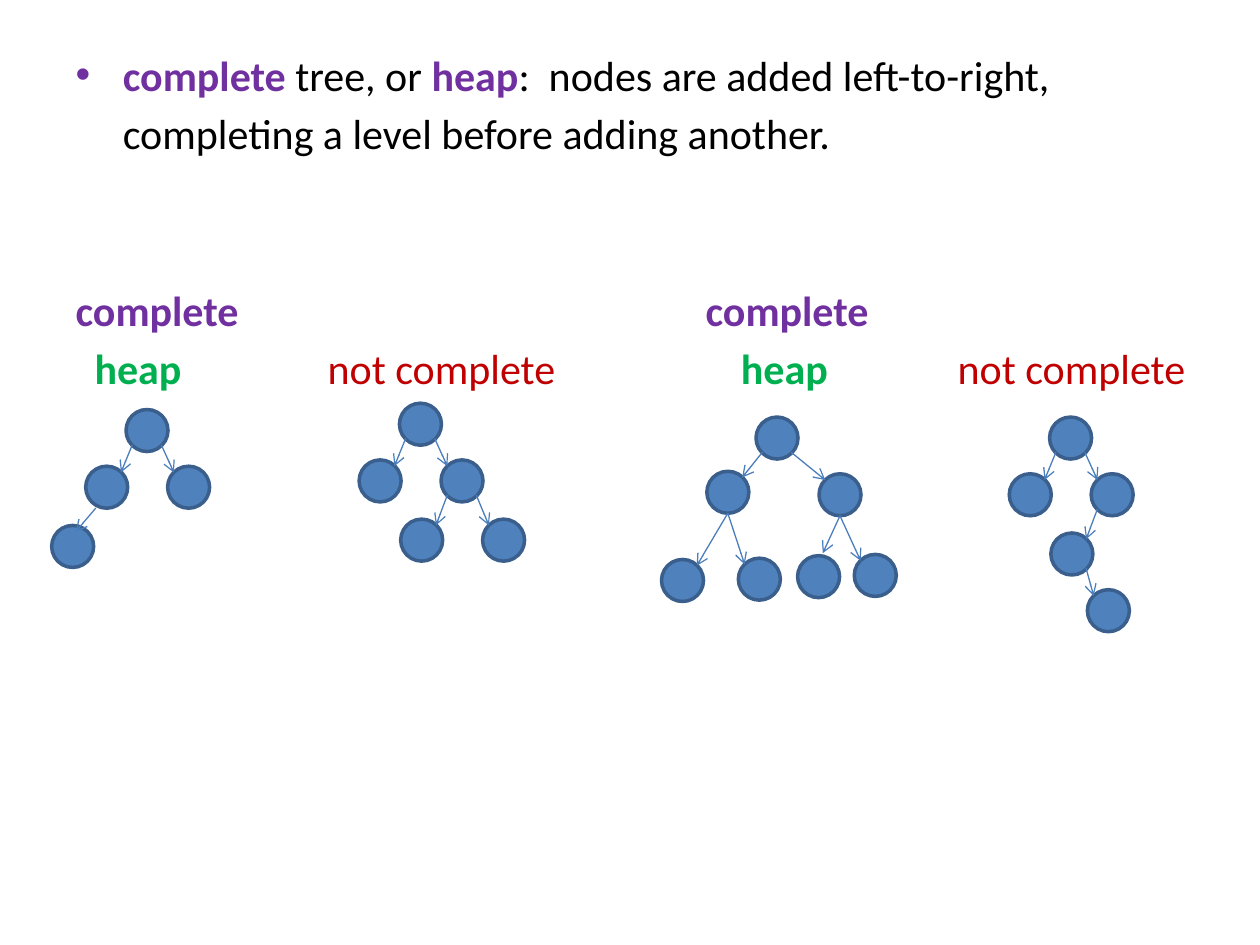
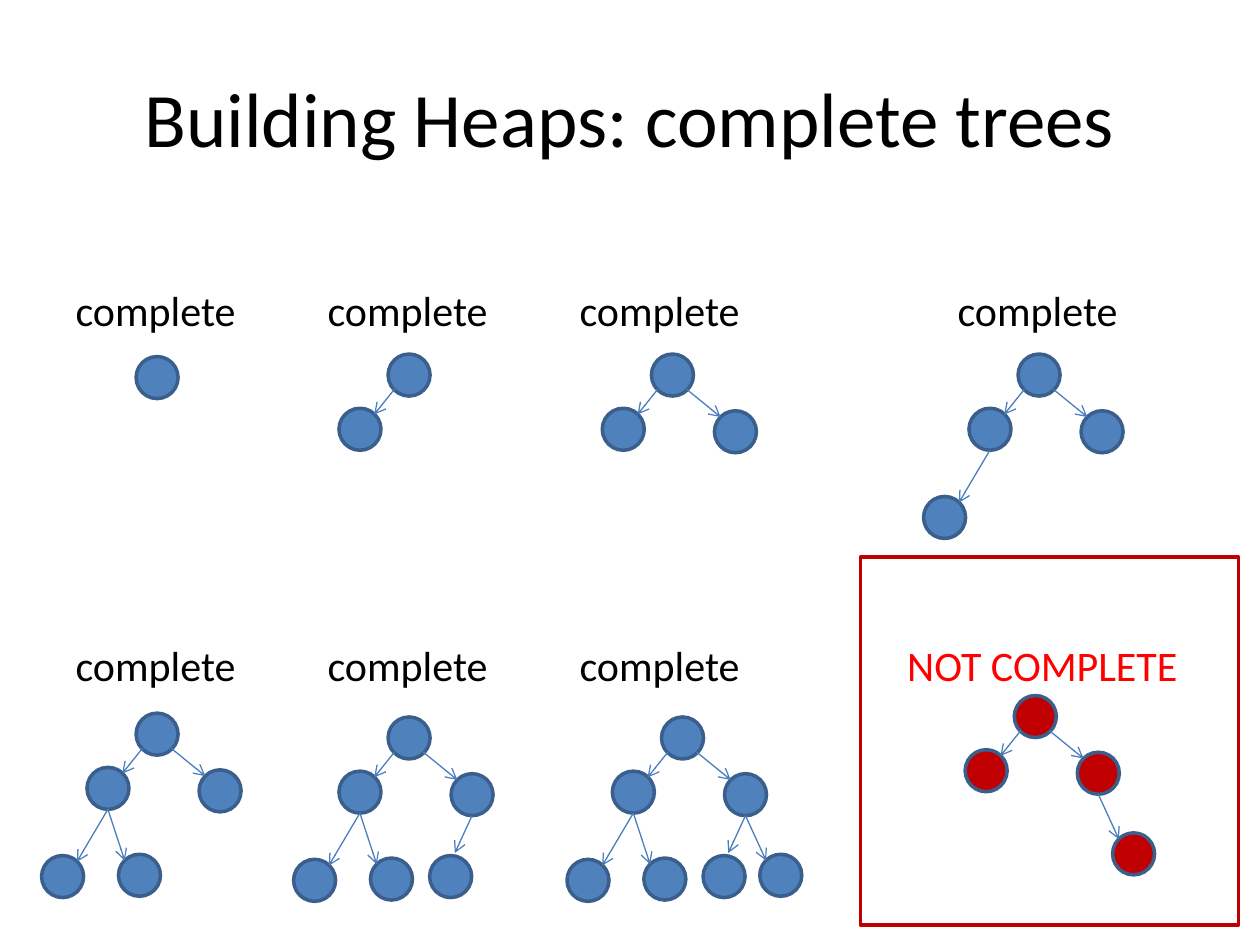
"""Build two slides that explain complete trees and heaps."""
from lxml.etree import SubElement
from pptx import Presentation
from pptx.dml.color import RGBColor
from pptx.enum.shapes import MSO_CONNECTOR, MSO_SHAPE
from pptx.enum.text import MSO_ANCHOR, MSO_AUTO_SIZE, PP_ALIGN
from pptx.oxml.ns import qn
from pptx.util import Inches, Pt

BLACK, PURPLE, GREEN = "000000", "7030A0", "00B050"
RED, BRIGHT_RED = "C00000", "FF0000"
NODE_BLUE, NODE_EDGE, ARROW_BLUE = "4F81BD", "3A5F8C", "4B7EBC"
FONT, BODY_SIZE, TITLE_SIZE = "Calibri", 24, 44
LINE_PITCH, LINE_HEIGHT = 33.85, 29.3
NODE = 1 / 3
INDENT = 0.375
SPACE_WIDTH = 0.075

NARROW = {"": (0, 0), "L": (-0.32, 0.45), "R": (0.33, 0.45), "LL": (-0.59, 0.92),
          "RL": (0.01, 0.92), "RR": (0.66, 0.92), "RLR": (0.3, 1.37)}
WIDE = {"": (0, 0), "L": (-0.39, 0.43), "R": (0.5, 0.45), "LL": (-0.75, 1.13),
        "LR": (-0.14, 1.12), "RL": (0.33, 1.1), "RR": (0.78, 1.09)}
THREE = ["", "L", "R"]
SEVEN = THREE + ["LL", "LR", "RL", "RR"]

DEFINITION = [
    (1, INDENT, True, [("complete", PURPLE, True, 0), (" tree, or ", BLACK, False, 0),
                       ("heap", PURPLE, True, 0),
                       (":  nodes are added left-to-right, ", BLACK, False, 0)]),
    (1, INDENT, False, [("completing a level before adding another.", BLACK, False, 0)]),
    (3, 0, False, [("complete" + "\t" * 8 + "complete", PURPLE, True, 0)]),
    (1, 0, False, [(" ", GREEN, False, 0.15), ("heap\t\t\t", GREEN, True, 0),
                   ("not complete\t\t\t", RED, False, 0), (" ", GREEN, False, 0.28),
                   ("heap\t\t\t", GREEN, True, 0), ("not complete", RED, False, 0)]),
]
THREE_COMPLETE = "\t\t".join(["complete"] * 3)
BUILDING = [
    (1, 0, False, [(THREE_COMPLETE + "\t" * 4 + "complete", BLACK, False, 0)]),
    (6, 0, False, [(THREE_COMPLETE + "\t" * 3, BLACK, False, 0), (" ", BLACK, False, 0.1),
                   ("NOT COMPLETE", BRIGHT_RED, False, 0)]),
]
DEFINITION_TREES = [
    (1, 3.25, NARROW, THREE + ["LL"], NODE_BLUE),
    (3.17, 3.2, NARROW, THREE + ["RL", "RR"], NODE_BLUE),
    (6, 3.31, WIDE, SEVEN, NODE_BLUE),
    (8.33, 3.31, NARROW, THREE + ["RL", "RLR"], NODE_BLUE),
]
BUILDING_TREES = [
    (1.08, 2.83, WIDE, THREE[:1], NODE_BLUE),
    (3.08, 2.81, WIDE, THREE[:2], NODE_BLUE),
    (5.17, 2.81, WIDE, THREE, NODE_BLUE),
    (8.08, 2.81, WIDE, SEVEN[:4], NODE_BLUE),
    (1.08, 5.66, WIDE, SEVEN[:5], NODE_BLUE),
    (3.08, 5.69, WIDE, SEVEN[:6], NODE_BLUE),
    (5.25, 5.69, WIDE, SEVEN, NODE_BLUE),
    (8.05, 5.52, WIDE, THREE + ["RR"], RED),
]
SLIDES = [
    (None, (0.5, 0.34, 9.5, 6.37), DEFINITION, DEFINITION_TREES, None),
    ("Building Heaps: complete trees", (0.5, 2.21, 9, 4.48), BUILDING, BUILDING_TREES,
     (6.83, 4.42, 3, 2.92)),
]


def color(value):
    return RGBColor.from_string(value)


def place(holder, box):
    holder.left, holder.top, holder.width, holder.height = map(Inches, box)


def style(run, size, fill, bold=False):
    run.font.name, run.font.size, run.font.bold = FONT, Pt(size), bold
    run.font.color.rgb = color(fill)


def write_title(holder, text):
    place(holder, (0.5, 0.3, 9, 1.25))
    holder.text_frame.text = text
    holder.text_frame.vertical_anchor = MSO_ANCHOR.MIDDLE
    heading = holder.text_frame.paragraphs[0]
    heading.alignment = PP_ALIGN.CENTER
    style(heading.runs[0], TITLE_SIZE, BLACK)


def write_body(holder, box, paragraphs):
    place(holder, box)
    frame = holder.text_frame
    frame.auto_size = MSO_AUTO_SIZE.NONE
    for index, (rows, indent, bullet, runs) in enumerate(paragraphs):
        paragraph = frame.add_paragraph() if index else frame.paragraphs[0]
        paragraph.space_before = Pt(rows * LINE_PITCH - LINE_HEIGHT if index else 0)
        properties = paragraph._p.get_or_add_pPr()
        properties.set("marL", str(Inches(indent)))
        properties.set("indent", str(Inches(-indent if bullet else 0)))
        if not bullet:
            SubElement(properties, qn("a:buNone"))
        for text, fill, bold, width in runs:
            run = paragraph.add_run()
            run.text = text
            style(run, BODY_SIZE, fill, bold)
            if width:
                spacing = round((width - SPACE_WIDTH) * 7200)
                run.font._element.set("spc", str(spacing))


def add_outline(slide, kind, box, line, fill=None):
    shape = slide.shapes.add_shape(kind, *map(Inches, box))
    shape.shadow.inherit = False
    if fill:
        shape.fill.solid()
        shape.fill.fore_color.rgb = color(fill)
    else:
        shape.fill.background()
    shape.line.color.rgb = color(line)
    shape.line.width = Pt(2)


def add_arrow(slide, start, end):
    arrow = slide.shapes.add_connector(MSO_CONNECTOR.STRAIGHT, *map(Inches, start + end))
    arrow.line.color.rgb = color(ARROW_BLUE)
    arrow.line.width = Pt(0.75)
    SubElement(arrow.line._get_or_add_ln(), qn("a:tailEnd"), type="arrow")
    SubElement(arrow._element.spPr, qn("a:effectLst"))


def arrow_ends(layout, node):
    """Return where an arrow leaves the parent and meets the child, from their corners."""
    near, far = (0.05, 0.28) if node[-1] == "L" else (0.28, 0.05)
    if layout is NARROW:
        return ((0.08, NODE), (0.19, 0.05)) if node == "LL" else ((near, 0.28), (far, 0.05))
    if len(node) == 1:
        return (near, 0.28), (far, 0.05)
    return (NODE / 2, NODE), (0.2, -0.02) if node == "RL" else (far, 0.05)


def draw_tree(slide, left, top, layout, nodes, fill):
    spots = {node: (left + layout[node][0], top + layout[node][1]) for node in nodes}
    for node, (x, y) in spots.items():
        add_outline(slide, MSO_SHAPE.OVAL, (x, y, NODE, NODE), NODE_EDGE, fill)
        if node:
            parent_x, parent_y = spots[node[:-1]]
            leave, meet = arrow_ends(layout, node)
            add_arrow(slide, (parent_x + leave[0], parent_y + leave[1]),
                      (x + meet[0], y + meet[1]))


def build():
    deck = Presentation()
    deck.slide_width, deck.slide_height = Inches(10), Inches(7.5)
    for title, body_box, paragraphs, trees, warning_box in SLIDES:
        slide = deck.slides.add_slide(deck.slide_layouts[1])
        heading, body = slide.placeholders
        if title:
            write_title(heading, title)
        else:
            heading._element.getparent().remove(heading._element)
        write_body(body, body_box, paragraphs)
        for tree in trees:
            draw_tree(slide, *tree)
        if warning_box:
            add_outline(slide, MSO_SHAPE.RECTANGLE, warning_box, RED)
    deck.save("out.pptx")


build()
